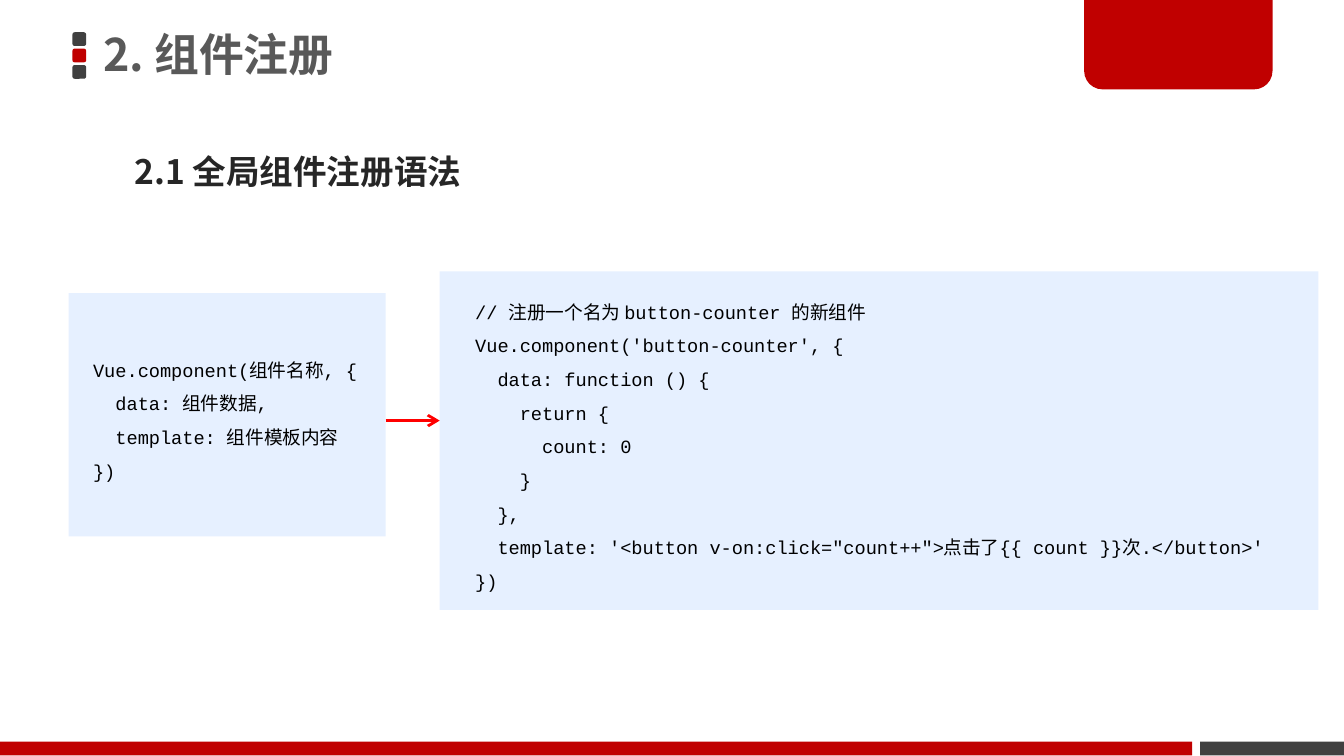
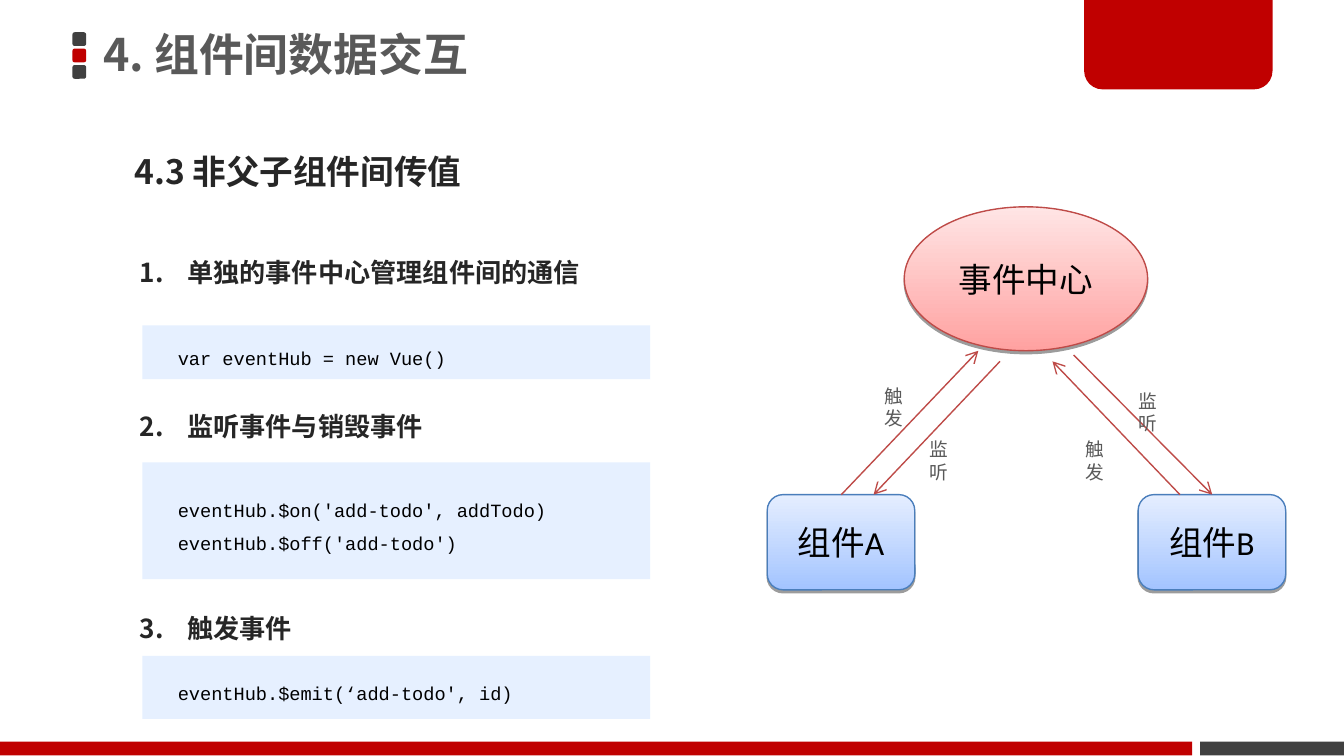
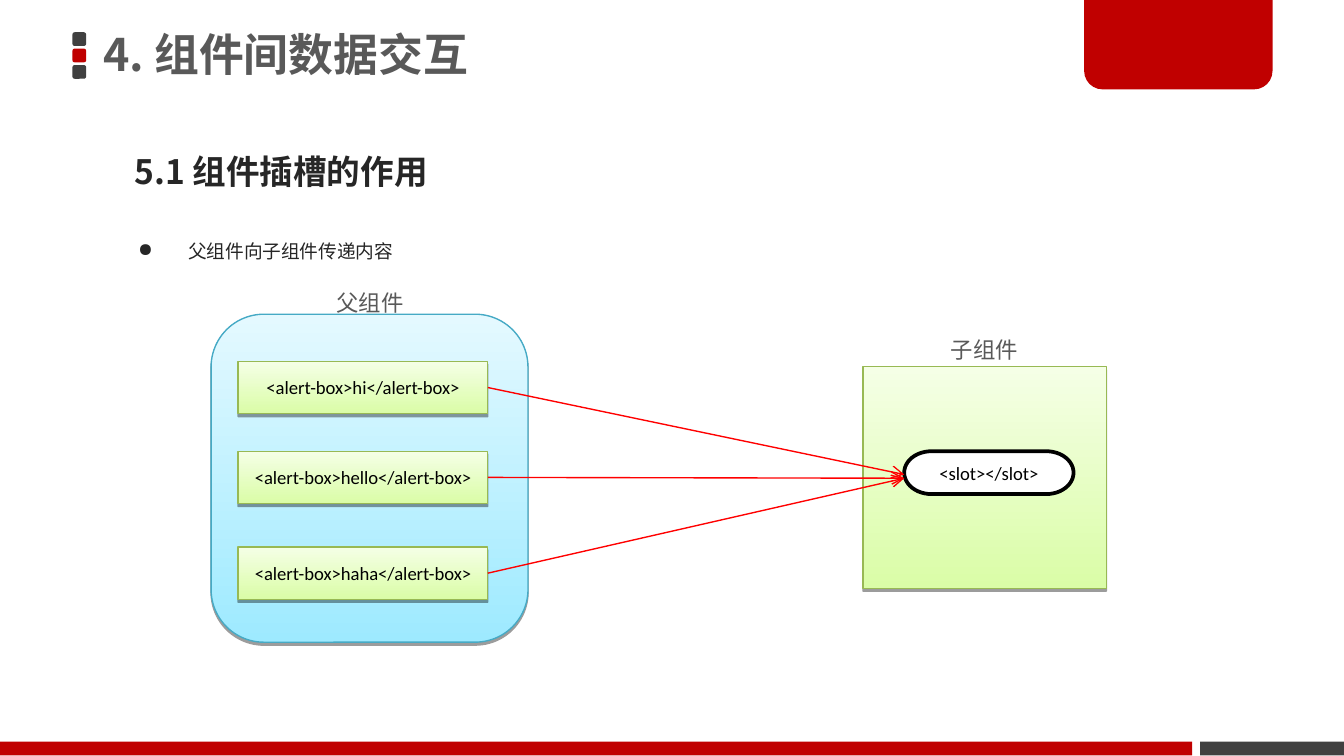
from lxml.etree import SubElement
from pptx import Presentation
from pptx.dml.color import RGBColor
from pptx.enum.shapes import MSO_CONNECTOR, MSO_SHAPE as Preset
from pptx.enum.text import MSO_ANCHOR as Anchor, MSO_AUTO_SIZE as AutoSize, PP_ALIGN as Align
from pptx.oxml.ns import qn
from pptx.util import Cm, Pt

RED = RGBColor(0xC0, 0x00, 0x00)
BRIGHT_RED = RGBColor(0xFF, 0x00, 0x00)
ROSE = RGBColor(0xBE, 0x4B, 0x48)
DARK = RGBColor(0x40, 0x40, 0x40)
GREY = RGBColor(0x59, 0x59, 0x59)
INK = RGBColor(0x26, 0x26, 0x26)
BLACK = RGBColor(0x00, 0x00, 0x00)
WHITE = RGBColor(0xFF, 0xFF, 0xFF)
CODE_BLUE = RGBColor(0xE6, 0xF0, 0xFF)
# Each glow: bottom colour, top colour, outline
PINK_GLOW = RGBColor(0xFF, 0xA2, 0xA1), RGBColor(0xFF, 0xE5, 0xE5), ROSE
BLUE_GLOW = RGBColor(0xA3, 0xC4, 0xFF), RGBColor(0xE5, 0xEE, 0xFF), RGBColor(0x4A, 0x7E, 0xBB)
CYAN_GLOW = RGBColor(0x9E, 0xEA, 0xFF), RGBColor(0xE4, 0xF9, 0xFF), RGBColor(0x46, 0xAA, 0xC5)
GREEN_GLOW = RGBColor(0xDA, 0xFD, 0xA7), RGBColor(0xF5, 0xFF, 0xE6), RGBColor(0x98, 0xB9, 0x54)

SANS, BODY, MONO = "Noto Sans CJK SC", "Calibri", "Courier New"

# All positions are in centimetres: left, top, width, height
REGISTRATION = {
    "title": "2. 组件注册",
    "subtitle": "2.1 全局组件注册语法",
    "code": [
        ((1.3, 5.54, 5.99, 4.6), [
            " Vue.component(组件名称, {",
            "   data: 组件数据,",
            "   template: 组件模板内容",
            " })",
        ]),
        ((8.31, 5.13, 16.61, 6.4), [
            "  // 注册一个名为 button-counter 的新组件",
            "  Vue.component('button-counter', {",
            "    data: function () {",
            "      return {",
            "        count: 0",
            "      }",
            "    },",
            "    template: '<button v-on:click=\"count++\">点击了{{ count }}次.</button>'",
            "  })",
        ]),
    ],
    "arrow": ((7.29, 7.95), (8.31, 7.95)),
}

EVENTS = {
    "title": "4. 组件间数据交互",
    "subtitle": "4.3 非父子组件间传值",
    # heading, its top, code top, code height, code
    "steps": [
        ("单独的事件中心管理组件间的通信", 4.42, 6.15, 1.02,
         ["  var eventHub = new Vue()"]),
        ("监听事件与销毁事件", 7.34, 8.74, 2.21,
         ["  eventHub.$on('add-todo', addTodo)", "  eventHub.$off('add-todo')"]),
        ("触发事件", 11.15, 12.4, 1.19,
         ["  eventHub.$emit(‘add-todo', id)"]),
    ],
    "nodes": [
        ("事件中心", Preset.OVAL, (17.09, 3.91, 4.6, 2.72), PINK_GLOW),
        ("组件A", Preset.ROUNDED_RECTANGLE, (14.5, 9.35, 2.79, 1.8), BLUE_GLOW),
        ("组件B", Preset.ROUNDED_RECTANGLE, (21.51, 9.35, 2.79, 1.8), BLUE_GLOW),
    ],
    # label, label corner, arrow start, arrow end
    "messages": [
        ("触发", (16.46, 7.14), (15.9, 9.35), (18.49, 6.63)),
        ("监听", (21.26, 7.24), (20.29, 6.71), (22.91, 9.35)),
        ("监听", (17.32, 8.15), (18.9, 6.83), (16.51, 9.35)),
        ("触发", (20.27, 8.15), (22.3, 9.35), (19.89, 6.83)),
    ],
}

SLOTS = {
    "title": "4. 组件间数据交互",
    "subtitle": "5.1 组件插槽的作用",
    "point": "父组件向子组件传递内容",
    "parent": ("父组件", (5.89, 5.33), Preset.ROUNDED_RECTANGLE, (3.99, 5.94, 5.99, 6.2), CYAN_GLOW),
    "child": ("子组件", (17.5, 6.22), Preset.RECTANGLE, (16.31, 6.93, 4.6, 4.19), GREEN_GLOW),
    "slot": ("<slot></slot>", (17.09, 8.53, 3.2, 0.81)),
    # text, box top, height at which its arrow reaches the slot
    "alerts": [
        ("<alert-box>hi</alert-box>", 6.83, 8.97),
        ("<alert-box>hello</alert-box>", 8.53, 9.04),
        ("<alert-box>haha</alert-box>", 10.34, 9.04),
    ],
}


def cm(values):
    return [Cm(value) for value in values]


def write(shape, text, size=10, font=BODY, color=BLACK, bold=False, align=Align.LEFT,
          anchor=Anchor.MIDDLE, spacing=1.0, margins=(0.25, 0.13), wrap=True, grow=False,
          hang=None, level=0, bullet=None):
    """Fill a shape with a string or a list of lines; hang is (left margin, hanging indent)."""
    frame = shape.text_frame
    frame.word_wrap = wrap
    frame.auto_size = AutoSize.SHAPE_TO_FIT_TEXT if grow else AutoSize.NONE
    frame.vertical_anchor = anchor
    frame.margin_left = frame.margin_right = Cm(margins[0])
    frame.margin_top = frame.margin_bottom = Cm(margins[1])
    for index, line in enumerate([text] if isinstance(text, str) else text):
        paragraph = frame.add_paragraph() if index else frame.paragraphs[0]
        paragraph.alignment, paragraph.line_spacing, paragraph.level = align, spacing, level
        props = paragraph._p.get_or_add_pPr()
        if hang:
            props.set("marL", str(Cm(hang[0])))
            props.set("indent", str(-Cm(hang[1])))
        if bullet:
            tint = SubElement(props, qn("a:buClr"))
            SubElement(tint, qn("a:srgbClr"), val=str(color))
            SubElement(props, qn("a:buChar"), char=bullet)
        run = paragraph.add_run()
        run.text = line
        run.font.size, run.font.name, run.font.bold = Pt(size), font, bold
        run.font.color.rgb = color
        SubElement(run._r.get_or_add_rPr(), qn("a:ea"), typeface=SANS)


def add_text(slide, box, text, **text_format):
    write(slide.shapes.add_textbox(*cm(box)), text, **text_format)


def add_block(slide, preset, box, fill, outline=None, width=0.75):
    block = slide.shapes.add_shape(preset, *cm(box))
    block.shadow.inherit = False
    block.fill.solid()
    block.fill.fore_color.rgb = fill
    if outline is None:
        block.line.fill.background()
    else:
        block.line.color.rgb = outline
        block.line.width = Pt(width)
    return block


def add_glowing(slide, preset, box, glow):
    """Add a block with a vertical gradient and a hard shadow below it."""
    bottom, top, outline = glow
    block = add_block(slide, preset, box, bottom, outline)
    block.fill.gradient()
    block.fill.gradient_angle = 90
    for stop, color in zip(block.fill.gradient_stops, (bottom, top)):
        stop.color.rgb = color
    effects = block._element.spPr.find(qn("a:effectLst"))
    shadow = SubElement(effects, qn("a:outerShdw"), blurRad="0", dist=str(Pt(1.6)),
                        dir="5400000", rotWithShape="0")
    SubElement(SubElement(shadow, qn("a:srgbClr"), val=str(BLACK)), qn("a:alpha"), val="38000")
    return block


def add_arrow(slide, start, end, color, width=0.75):
    arrow = slide.shapes.add_connector(MSO_CONNECTOR.STRAIGHT, *cm(start + end))
    arrow.line.color.rgb = color
    arrow.line.width = Pt(width)
    props = arrow._element.spPr
    SubElement(props.find(qn("a:ln")), qn("a:tailEnd"), type="arrow")
    SubElement(props, qn("a:effectLst"))


def add_code(slide, box, lines):
    write(add_block(slide, Preset.RECTANGLE, box, CODE_BLUE), lines, font=MONO, spacing=1.5)


def start_slide(deck, content):
    """Add a slide with the shared decoration, title and subtitle."""
    slide = deck.slides.add_slide(deck.slide_layouts[6])
    for row, color in enumerate((DARK, RED, DARK)):
        add_block(slide, Preset.ROUNDED_RECTANGLE, (1.37, 0.61 + row * 0.31, 0.26, 0.26), color)
    add_block(slide, Preset.RECTANGLE, (22.68, 14.02, 2.72, 0.26), DARK)
    corner_tab = add_block(slide, Preset.ROUND_2_SAME_RECTANGLE, (20.49, -0.05, 3.56, 1.74), RED)
    corner_tab.adjustments[0], corner_tab.adjustments[1] = 0, 0.2
    add_block(slide, Preset.RECTANGLE, (0, 14.02, 22.53, 0.26), RED)
    add_text(slide, (1.75, -0.05, 14.96, 2.26), content["title"], size=24, font=SANS,
             color=GREY, bold=True, spacing=0.9, margins=(0.2, 0.1))
    add_text(slide, (2.29, 2.34, 11.2, 1.4), content["subtitle"], size=18, font=SANS,
             color=INK, bold=True, spacing=1.5, anchor=Anchor.TOP, grow=True)
    return slide


def build_registration(deck):
    slide = start_slide(deck, REGISTRATION)
    for box, lines in REGISTRATION["code"]:
        add_code(slide, box, lines)
    add_arrow(slide, *REGISTRATION["arrow"], BRIGHT_RED, 1.5)


def build_events(deck):
    slide = start_slide(deck, EVENTS)
    for number, (heading, top, code_top, code_height, lines) in enumerate(EVENTS["steps"], 1):
        add_text(slide, (2.39, top, 21.01, 1.14), f"{number}.\t{heading}", size=14, font=SANS,
                 color=INK, bold=True, spacing=1.5, anchor=Anchor.TOP, grow=True, hang=(0.9, 0.9))
        add_code(slide, (2.69, code_top, 9.6, code_height), lines)
    for name, preset, box, glow in EVENTS["nodes"]:
        write(add_glowing(slide, preset, box, glow), name, size=18, align=Align.CENTER)
    for label, corner, start, end in EVENTS["messages"]:
        add_arrow(slide, start, end, ROSE)
        add_text(slide, corner + (1.19, 0.69), label, color=GREY, anchor=Anchor.TOP,
                 wrap=False, grow=True)


def build_slots(deck):
    slide = start_slide(deck, SLOTS)
    add_text(slide, (1.09, 4.19, 21.01, 0.89), SLOTS["point"], font=SANS, color=INK,
             spacing=1.5, anchor=Anchor.TOP, grow=True, hang=(2.22, 0.95), level=1, bullet="●")
    for part in ("parent", "child"):
        label, corner, preset, box, glow = SLOTS[part]
        add_glowing(slide, preset, box, glow)
        add_text(slide, corner + (2.21, 0.76), label, size=12, color=GREY,
                 align=Align.CENTER, anchor=Anchor.TOP, grow=True)
    slot_text, slot_box = SLOTS["slot"]
    slot = add_block(slide, Preset.FLOWCHART_TERMINATOR, slot_box, WHITE, BLACK, 2)
    write(slot, slot_text, align=Align.CENTER)
    left, width, height = 4.5, 4.72, 0.99
    for text, top, target in SLOTS["alerts"]:
        alert = add_glowing(slide, Preset.RECTANGLE, (left, top, width, height), GREEN_GLOW)
        write(alert, text, align=Align.CENTER)
        add_arrow(slide, (left + width, top + height / 2), (slot_box[0], target), BRIGHT_RED)


def main():
    deck = Presentation()
    deck.slide_width, deck.slide_height = Cm(25.4), Cm(14.29)
    build_registration(deck)
    build_events(deck)
    build_slots(deck)
    deck.save("out.pptx")


if __name__ == "__main__":
    main()
